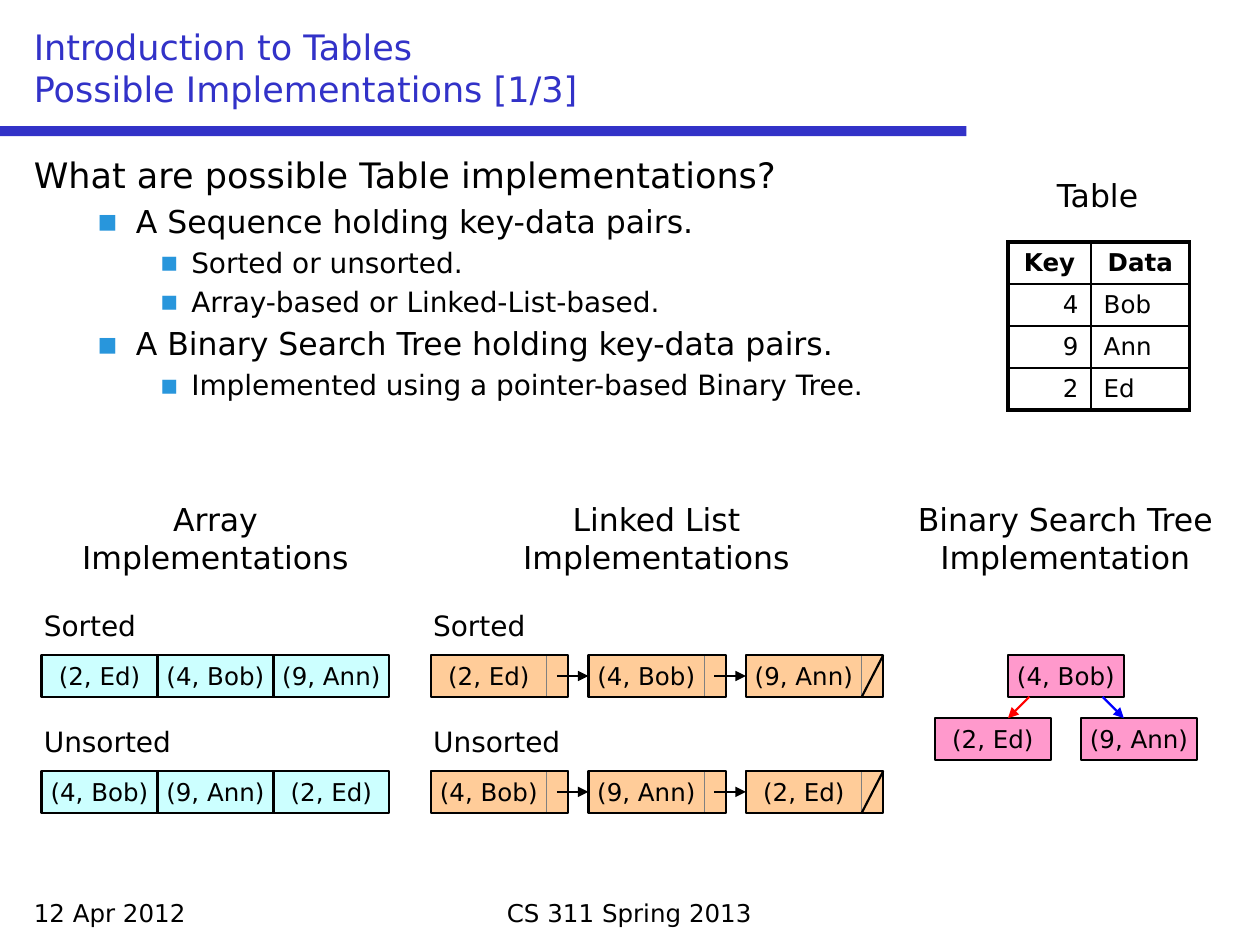
from pptx import Presentation
from pptx.dml.color import RGBColor
from pptx.enum.shapes import MSO_CONNECTOR, MSO_SHAPE
from pptx.enum.text import MSO_ANCHOR, PP_ALIGN
from pptx.oxml.ns import qn
from pptx.util import Inches, Pt
from lxml.etree import SubElement

FONT = "DejaVu Sans"
BLACK, GRAY, BLUE = "000000", "808080", "3232C8"
CYAN, ORANGE, PINK = "CCFFFF", "FFCC99", "FF99CC"
LEFT, MID, RIGHT = PP_ALIGN.LEFT, PP_ALIGN.CENTER, PP_ALIGN.RIGHT
THIN, EDGE = 1, 2.25

# text, position, size, alignment
TEXTS = [
    ("12 Apr 2012", (0.17, 7.08, 2.33, 0.33), 14, LEFT),
    ("CS 311 Spring 2013", (2.58, 7.08, 4.83, 0.33), 14, MID),
    ("Table", (8.17, 1.35, 1.08, 0.4), 18, MID),
    ("Array Implementations", (0.42, 3.92, 2.58, 0.71), 18, MID),
    ("Linked List Implementations", (3.92, 3.92, 2.58, 0.71), 18, MID),
    ("Binary Search Tree Implementation", (7.08, 3.92, 2.75, 0.71), 18, MID),
]
TITLE = "Introduction to Tables\vPossible Implementations [1/3]"
BODY = [
    (0, "What are possible Table implementations?"),
    (1, "A Sequence holding key-data pairs."),
    (2, "Sorted or unsorted."),
    (2, "Array-based or Linked-List-based."),
    (1, "A Binary Search Tree holding key-data pairs."),
    (2, "Implemented using a pointer-based Binary Tree."),
]
LEVELS = [(20, 0.38, -0.38), (18, 0.81, -0.31), (16, 1.25, -0.25)]
ROWS = [("Key", "Data"), ("4", "Bob"), ("9", "Ann"), ("2", "Ed")]
ORDERS = [
    ("Sorted", 5.2, ["(2, Ed)", "(4, Bob)", "(9, Ann)"]),
    ("Unsorted", 6.12, ["(4, Bob)", "(9, Ann)", "(2, Ed)"]),
]
TREE = [("(4, Bob)", 8, 5.2), ("(2, Ed)", 7.42, 5.7), ("(9, Ann)", 8.58, 5.7)]
BRANCHES = [((8.75, 5.53), (8.92, 5.7), "0000FF"),
            ((8.17, 5.53), (8, 5.7), "FF0000")]
WIDE, HIGH, LINK = 0.92, 0.33, 0.17
ARRAY_X, LIST_X, STEP = 0.33, 3.42, 1.25

prs = Presentation()
prs.slide_width, prs.slide_height = Inches(10), Inches(7.5)
slide = prs.slides.add_slide(prs.slide_layouts[6])
shapes = slide.shapes


def color(code):
    return RGBColor.from_string(code)


def style(para, size, align=LEFT, bold=False):
    para.alignment = align
    for run in para.runs:
        font = run.font
        font.name, font.size, font.bold = FONT, Pt(size), bold
        font.color.rgb = color(BLACK)


def add_text(text, at, size, align=LEFT):
    frame = shapes.add_textbox(*map(Inches, at)).text_frame
    frame.word_wrap = True
    frame.text = text
    style(frame.paragraphs[0], size, align)
    return frame


def add_box(at, fill=None, line=BLACK, weight=1.25, text=""):
    box = shapes.add_shape(MSO_SHAPE.RECTANGLE, *map(Inches, at))
    box.shadow.inherit = False
    if fill:
        box.fill.solid()
        box.fill.fore_color.rgb = color(fill)
    else:
        box.fill.background()
    if line:
        box.line.color.rgb = color(line)
        box.line.width = Pt(weight)
    else:
        box.line.fill.background()
    if text:
        frame = box.text_frame
        frame.word_wrap = False
        frame.vertical_anchor = MSO_ANCHOR.MIDDLE
        frame.text = text
        style(frame.paragraphs[0], 14, MID)
    return box


def add_line(start, end, code=BLACK, arrow=True):
    line = shapes.add_connector(MSO_CONNECTOR.STRAIGHT,
                                *map(Inches, start + end))
    line.line.color.rgb = color(code)
    line.line.width = Pt(1.25)
    if arrow:
        SubElement(line.line._get_or_add_ln(), qn("a:tailEnd"), type="triangle")
    SubElement(line._element.spPr, qn("a:effectLst"))
    return line


def add_bullet(para, left, hang, mark):
    props = para._p.get_or_add_pPr()
    props.set("marL", str(Inches(left)))
    props.set("indent", str(Inches(hang)))
    if mark:
        tint = SubElement(props, qn("a:buClr"))
        SubElement(tint, qn("a:srgbClr"), val="2896DC")
        SubElement(props, qn("a:buFont"), typeface=FONT)
        SubElement(props, qn("a:buChar"), char="▪")
    else:
        SubElement(props, qn("a:buNone"))


def add_border(cell, side, weight):
    line = SubElement(cell._tc.get_or_add_tcPr(), qn("a:ln" + side),
                      w=str(Pt(weight)))
    fill = SubElement(line, qn("a:solidFill"))
    SubElement(fill, qn("a:srgbClr"), val=BLACK)


def add_list(names, top):
    """Draw a chain of linked nodes, ending in a null link."""
    nodes = []
    for i, name in enumerate(names):
        x = LIST_X + i * STEP
        add_box((x, top, WIDE, HIGH), ORANGE, GRAY, 0.75, name)
        add_box((x + WIDE, top, LINK, HIGH), ORANGE, GRAY, 0.75)
        nodes.append(add_box((x, top, WIDE + LINK, HIGH)))
    for i, node in enumerate(nodes[1:], 1):
        x, y = LIST_X + i * STEP, top + HIGH / 2
        add_line((x - 0.25, y), (x, y)).end_connect(node, 1)
    x = LIST_X + (len(names) - 1) * STEP + WIDE
    add_line((x, top + HIGH), (x + LINK, top), arrow=False)


add_box((0, 1, 7.67, 0.08), BLUE, None)
for item in TEXTS:
    add_text(*item)

head = add_text(TITLE, (0.17, 0.17, 9.67, 0.75), 20)
head.vertical_anchor = MSO_ANCHOR.BOTTOM
for run in head.paragraphs[0].runs:
    run.font.color.rgb = color(BLUE)

body = add_text("\n".join(text for _, text in BODY), (0.17, 1.17, 9.67, 5.83), 20)
for i, (para, (level, _)) in enumerate(zip(body.paragraphs, BODY)):
    size, left, hang = LEVELS[level]
    add_bullet(para, left, hang, level > 0)
    para.level = level
    para.space_before = Pt(size * 0.2 if i else 0)
    style(para, size)

table = shapes.add_table(len(ROWS), 2, Inches(8), Inches(1.92),
                         Inches(1.45), Inches(1.33)).table
table.horz_banding = False
for column, width in zip(table.columns, (0.66, 0.78)):
    column.width = Inches(width)
for r, row in enumerate(ROWS):
    table.rows[r].height = Inches(HIGH)
    for c, text in enumerate(row):
        cell = table.cell(r, c)
        cell.text = text
        align = MID if r == 0 else (RIGHT, LEFT)[c]
        style(cell.text_frame.paragraphs[0], 14, align, r == 0)
        outer = {"L": c == 0, "R": c == 1, "T": r == 0, "B": r == len(ROWS) - 1}
        for side, edge in outer.items():
            add_border(cell, side, EDGE if edge else THIN)
        cell.fill.background()

for label, top, names in ORDERS:
    for x in (ARRAY_X, LIST_X):
        add_text(label, (x - 0.08, top - 0.42, 1.33, 0.37), 16)
    for i, name in enumerate(names):
        add_box((ARRAY_X + i * WIDE, top, WIDE, HIGH), CYAN, text=name)
    add_list(names, top)

for name, x, y in TREE:
    add_box((x, y, WIDE, HIGH), PINK, text=name)
for branch in BRANCHES:
    add_line(*branch)

prs.save("out.pptx")
